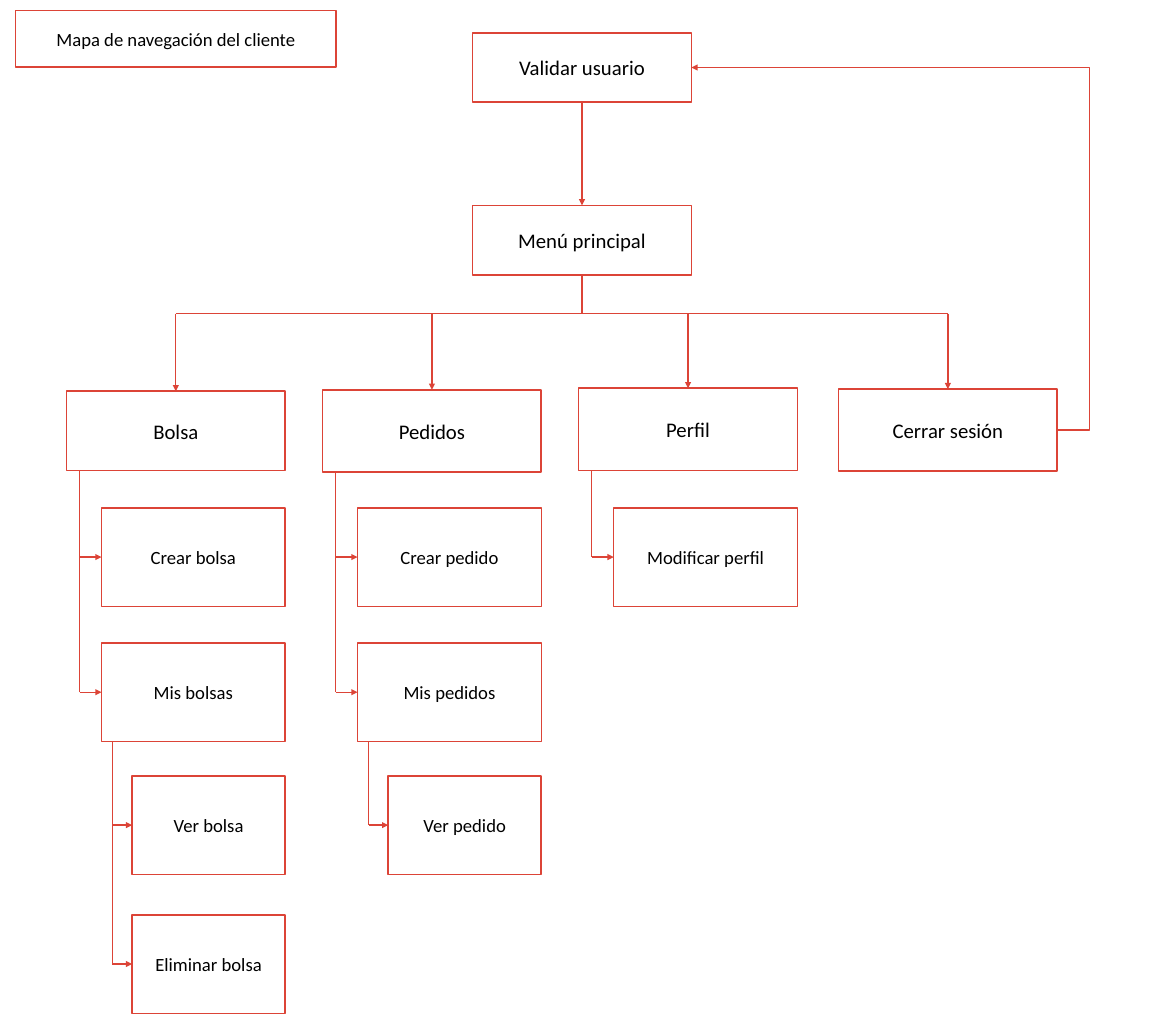
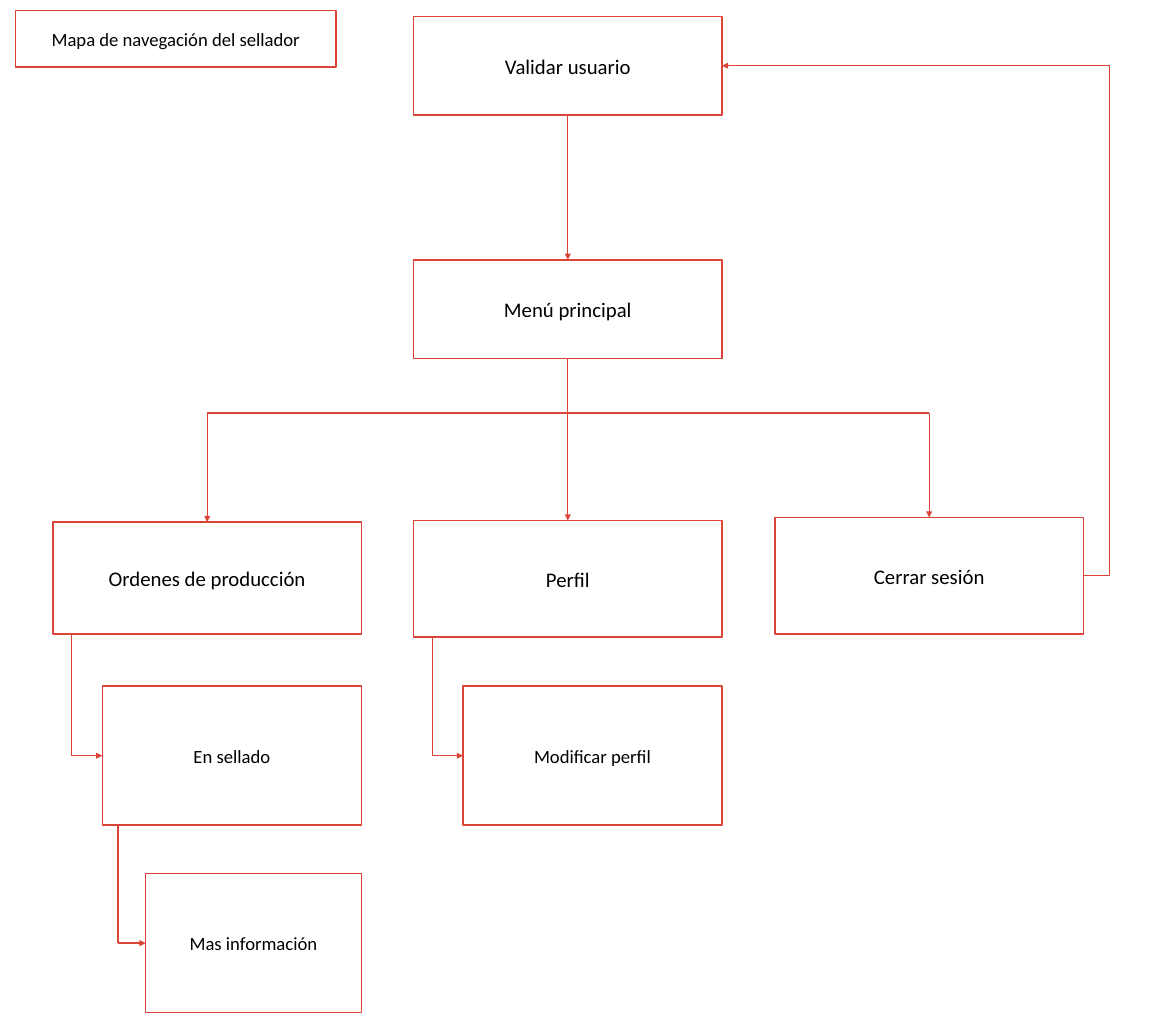
"""Build the navigation maps of the client and the sealer."""
from dataclasses import dataclass

from pptx import Presentation
from pptx.dml.color import RGBColor
from pptx.enum.shapes import MSO_CONNECTOR, MSO_SHAPE
from pptx.enum.text import MSO_ANCHOR, MSO_AUTO_SIZE, PP_ALIGN
from pptx.oxml.ns import qn
from pptx.util import Inches, Pt
from lxml.etree import SubElement


@dataclass(frozen=True)
class Theme:
    accent: RGBColor = RGBColor(0xDC, 0x44, 0x37)
    ink: RGBColor = RGBColor(0, 0, 0)
    font: str = "Calibri"
    main_size: int = 20
    small_size: int = 18
    border: float = 1.5
    rule: float = 1.25


THEME = Theme()
SLIDE_W, SLIDE_H = 15.75, 13.78
TITLE_BOX = (0.21, 0.14, 4.29, 0.76)
LEVEL_WIDTHS = (1, 0.84, 0.7)
TRUNK_SHARE = 0.06
TOP, LEFT, BOTTOM, RIGHT = range(4)

MAPS = [
    {
        "title": "Mapa de navegación del cliente",
        "box_width": 2.93,
        "spine": {"left": 6.33, "height": 0.93,
                  "boxes": [("Validar usuario", 0.44), ("Menú principal", 2.75)]},
        "rail": 4.2,
        "branches": [
            ("Bolsa", 0.89, 5.24, 1.06, [
                ("Crear bolsa", []),
                ("Mis bolsas", [("Ver bolsa", []), ("Eliminar bolsa", [])])]),
            ("Pedidos", 4.32, 5.22, 1.1, [
                ("Crear pedido", []),
                ("Mis pedidos", [("Ver pedido", [])])]),
            ("Perfil", 7.75, 5.2, 1.1, [("Modificar perfil", [])]),
            ("Cerrar sesión", 11.23, 5.21, 1.1, []),
        ],
        "rows": (6.8, 8.61, 10.39, 12.25),
        "row_height": 1.32,
        "return_x": 14.59,
    },
    {
        "title": "Mapa de navegación del sellador",
        "box_width": 4.13,
        "spine": {"left": 5.54, "height": 1.32,
                  "boxes": [("Validar usuario", 0.22), ("Menú principal", 3.48)]},
        "rail": 5.53,
        "branches": [
            ("Ordenes de producción", 0.71, 6.99, 1.5, [
                ("En sellado", [("Mas información", [])])]),
            ("Perfil", 5.54, 6.97, 1.56, [("Modificar perfil", [])]),
            ("Cerrar sesión", 10.38, 6.93, 1.56, []),
        ],
        "rows": (9.19, 11.7),
        "row_height": 1.86,
        "return_x": 14.86,
    },
]


def style_box(sp, text, size):
    sp.fill.background()
    sp.line.color.rgb = THEME.accent
    sp.line.width = Pt(THEME.border)
    tf = sp.text_frame
    tf.text = text
    tf.word_wrap = True
    tf.auto_size = MSO_AUTO_SIZE.NONE
    tf.vertical_anchor = MSO_ANCHOR.MIDDLE
    tf.margin_left = tf.margin_right = Inches(0.06)
    tf.margin_top = tf.margin_bottom = Inches(0.03)
    p = tf.paragraphs[0]
    p.alignment = PP_ALIGN.CENTER
    font = p.runs[0].font
    font.name, font.size, font.color.rgb = THEME.font, Pt(size), THEME.ink


def add_box(s, text, box, size):
    sp = s.shapes.add_shape(MSO_SHAPE.RECTANGLE, *map(Inches, box))
    sp.shadow.inherit = False
    style_box(sp, text, size)
    return sp


def add_line(s, start, end, arrow=False, kind=MSO_CONNECTOR.STRAIGHT):
    line = s.shapes.add_connector(kind, *map(Inches, (*start, *end)))
    line.line.color.rgb = THEME.accent
    line.line.width = Pt(THEME.rule)
    props = line._element.spPr
    if arrow:
        SubElement(props.find(qn("a:ln")), qn("a:tailEnd"), type="triangle")
    SubElement(props, qn("a:effectLst"))
    return line


def add_return(s, source, target, start, end, turn_x):
    line = add_line(s, start, end, True, MSO_CONNECTOR.ELBOW)
    line.begin_connect(source, RIGHT)
    line.end_connect(target, RIGHT)
    share = (start[0] - turn_x) / (start[0] - end[0])
    geometry = line._element.spPr.find(qn("a:prstGeom"))
    guides = geometry.find(qn("a:avLst"))
    if guides is None:
        guides = SubElement(geometry, qn("a:avLst"))
    SubElement(guides, qn("a:gd"), name="adj1", fmla=f"val {round(share * 100000)}")


def add_children(s, nav, parent, children, rows, level=1):
    if not children:
        return
    left, top, width, height = parent
    right = left + width
    trunk_x = left + TRUNK_SHARE * width
    child_w = nav["box_width"] * LEVEL_WIDTHS[level]
    for text, grandchildren in children:
        box = (right - child_w, next(rows), child_w, nav["row_height"])
        middle = box[1] + box[3] / 2
        sp = add_box(s, text, box, THEME.small_size)
        add_line(s, (trunk_x, middle), (box[0], middle), True).end_connect(sp, LEFT)
        add_children(s, nav, box, grandchildren, rows, level + 1)
    add_line(s, (trunk_x, top + height), (trunk_x, middle))


def build_map(prs, nav):
    s = prs.slides.add_slide(prs.slide_layouts[5])
    title = s.shapes.title
    title.left, title.top, title.width, title.height = map(Inches, TITLE_BOX)
    style_box(title, nav["title"], THEME.small_size)

    width, rail, spine = nav["box_width"], nav["rail"], nav["spine"]
    left, height = spine["left"], spine["height"]
    axis = left + width / 2
    login, menu = [add_box(s, text, (left, top, width, height), THEME.main_size)
                   for text, top in spine["boxes"]]
    login_top, menu_top = [top for _, top in spine["boxes"]]
    descent = add_line(s, (axis, login_top + height), (axis, menu_top), True)
    descent.begin_connect(login, BOTTOM)
    descent.end_connect(menu, TOP)
    add_line(s, (axis, menu_top + height), (axis, rail)).begin_connect(menu, BOTTOM)

    centres = [x + width / 2 for _, x, *_ in nav["branches"]]
    add_line(s, (centres[0], rail), (centres[-1], rail))
    for centre, (text, x, y, h, children) in zip(centres, nav["branches"]):
        box = (x, y, width, h)
        branch = add_box(s, text, box, THEME.main_size)
        add_line(s, (centre, rail), (centre, y), True).end_connect(branch, TOP)
        add_children(s, nav, box, children, iter(nav["rows"]))

    add_return(s, branch, login, (x + width, y + h / 2),
               (left + width, login_top + height / 2), nav["return_x"])


prs = Presentation()
prs.slide_width, prs.slide_height = Inches(SLIDE_W), Inches(SLIDE_H)
for nav in MAPS:
    build_map(prs, nav)
prs.save("out.pptx")
